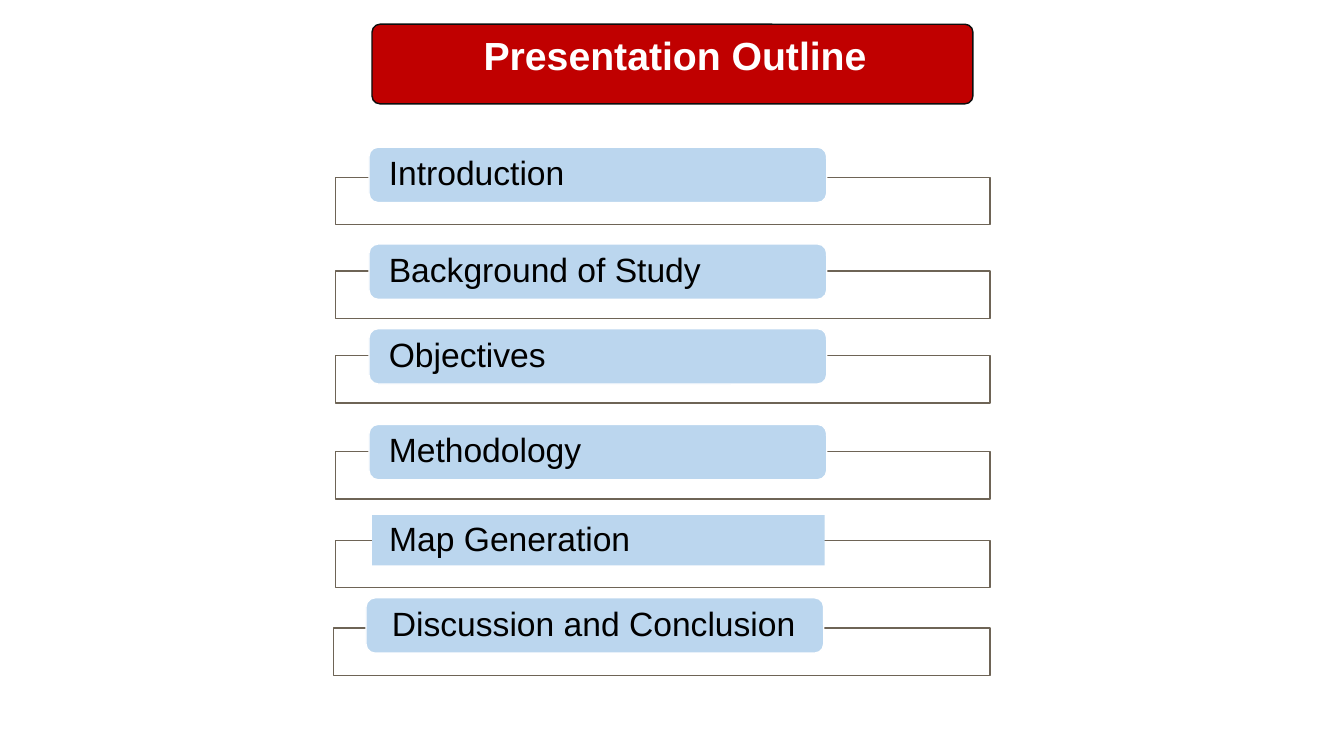
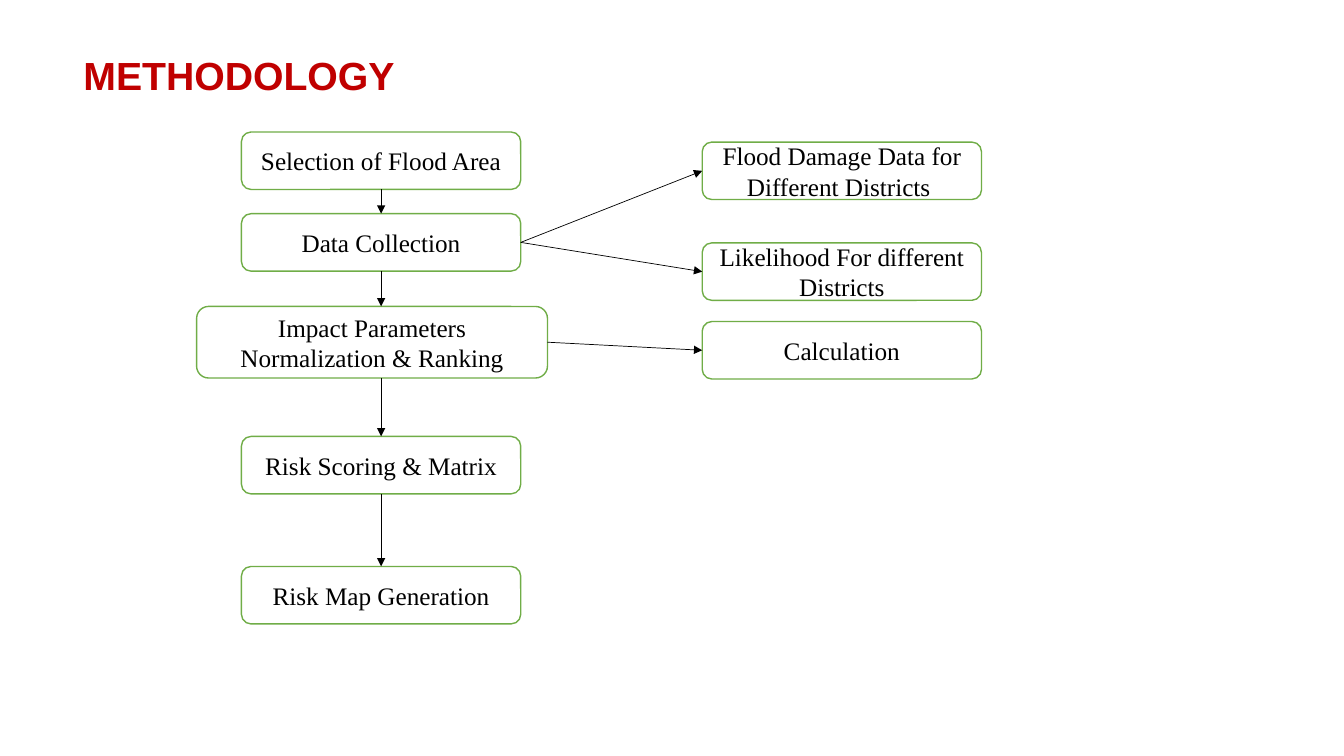
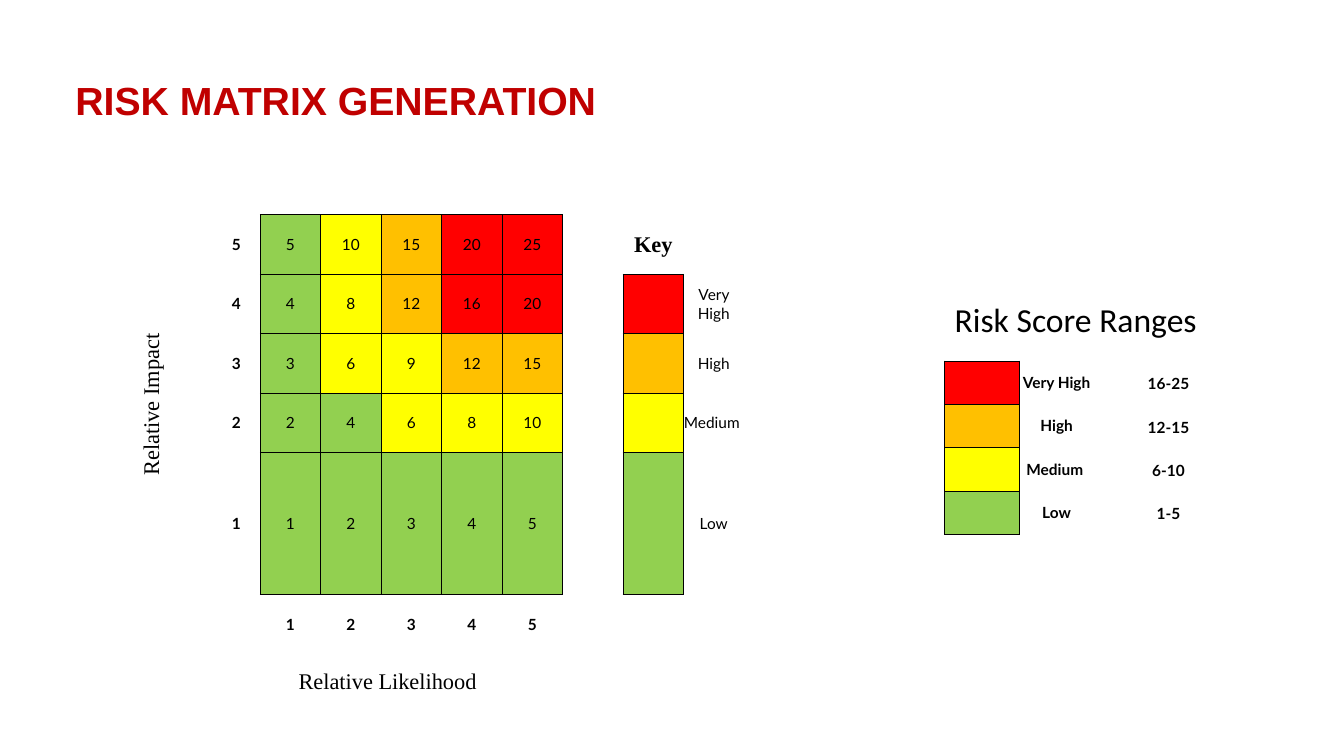
import lxml.etree
import pptx
import pptx.dml.color
import pptx.enum.shapes
import pptx.enum.text
import pptx.oxml.ns
import pptx.util

Inches = pptx.util.Inches
Pt = pptx.util.Pt
SHAPE = pptx.enum.shapes.MSO_SHAPE
ANCHOR = pptx.enum.text.MSO_ANCHOR
ALIGN = pptx.enum.text.PP_ALIGN
qn = pptx.oxml.ns.qn

COLORS = {
    "white": "FFFFFF",
    "black": "000000",
    "red": "C00000",
    "banner line": "0D0D0D",
    "frame line": "6E6456",
    "tab": "BBD6EE",
    "step line": "70AD47",
    "Very High": "FF0000",
    "High": "FFC000",
    "Medium": "FFFF00",
    "Low": "92D050",
}
SANS, SERIF, GRID_FONT = "Arial", "Times New Roman", "Lato"
PLAIN_TABLE = "{2D5ABB26-0587-4C30-8999-92F81FD0307C}"
TOP, LEFT, BOTTOM, RIGHT = range(4)

# Risk level, lowest score, range shown
LEVELS = [("Very High", 16, "16-25"), ("High", 12, "12-15"),
          ("Medium", 6, "6-10"), ("Low", 1, "1-5")]


# Shared helpers
def color(name):
    return pptx.dml.color.RGBColor.from_string(COLORS[name])


def write(frame, text, size, font, ink="black", bold=False, align=ALIGN.LEFT):
    para = frame.paragraphs[0]
    para.text = text
    para.alignment = align
    para.font.size = Pt(size)
    para.font.name = font
    para.font.bold = bold
    para.font.color.rgb = color(ink)
    return para


def add_box(page, kind, place, fill, line=None, rounding=None):
    box = page.shapes.add_shape(kind, *map(Inches, place))
    box.shadow.inherit = False
    box.fill.solid()
    box.fill.fore_color.rgb = color(fill)
    if line:
        box.line.color.rgb = color(line)
        box.line.width = Pt(1)
    else:
        box.line.fill.background()
    if rounding is not None:
        box.adjustments[0] = rounding
    return box


def add_label(page, place, text, size, font, ink="black", bold=False):
    box = page.shapes.add_textbox(*map(Inches, place))
    box.text_frame.word_wrap = True
    write(box.text_frame, text, size, font, ink, bold)


def add_title(page, place, text):
    add_label(page, place, text, 28, SANS, "red", True)


# Outline slide
def add_banner(page, place, text):
    banner = add_box(page, SHAPE.ROUNDED_RECTANGLE, place, "red", "banner line", 0.1)
    frame = banner.text_frame
    frame.vertical_anchor = ANCHOR.TOP
    frame.margin_left = Inches(0.15)
    write(frame, text, 28, SANS, "white", True, ALIGN.CENTER)


def add_outline_item(page, text, frame_place, tab_place, rounded=True, indent=0.17):
    add_box(page, SHAPE.RECTANGLE, frame_place, "white", "frame line")
    if rounded:
        tab = add_box(page, SHAPE.ROUNDED_RECTANGLE, tab_place, "tab", "white", 0.167)
    else:
        tab = add_box(page, SHAPE.RECTANGLE, tab_place, "tab")
    frame = tab.text_frame
    frame.vertical_anchor = ANCHOR.MIDDLE
    frame.margin_left, frame.margin_right = Inches(indent), Inches(0.17)
    frame.margin_top = frame.margin_bottom = 0
    write(frame, text, 24, SANS).line_spacing = 0.9


def outline_slide(page):
    add_banner(page, (3.69, 0.24, 5.96, 0.79), "Presentation Outline")
    regular = [("Introduction", 1.76, 1.46), ("Background of Study", 2.69, 2.42),
               ("Objectives", 3.53, 3.26), ("Methodology", 4.48, 4.21)]
    for text, frame_top, tab_top in regular:
        add_outline_item(page, text, (3.33, frame_top, 6.49, 0.47),
                         (3.66, tab_top, 4.54, 0.55))
    add_outline_item(page, "Map Generation", (3.33, 5.36, 6.49, 0.47),
                     (3.69, 5.11, 4.49, 0.5), rounded=False)
    add_outline_item(page, "Discussion and Conclusion", (3.31, 6.23, 6.51, 0.47),
                     (3.63, 5.93, 4.54, 0.55), indent=0.23)


# Flowchart slide
def add_step(page, text, center, top, width=2.77, height=0.57):
    place = (center - width / 2, top, width, height)
    step = add_box(page, SHAPE.ROUNDED_RECTANGLE, place, "white", "step line")
    step.text_frame.word_wrap = True
    step.text_frame.vertical_anchor = ANCHOR.MIDDLE
    write(step.text_frame, text, 18, SERIF, align=ALIGN.CENTER)
    return step


def add_arrow(page, begin, end):
    """Each end is a (step, side) pair, or an (x, y) point in inches."""
    arrow = page.shapes.add_connector(
        pptx.enum.shapes.MSO_CONNECTOR.STRAIGHT, 0, 0, 0, 0)
    if isinstance(begin[0], float):
        arrow.begin_x, arrow.begin_y = map(Inches, begin)
    else:
        arrow.begin_connect(*begin)
    if isinstance(end[0], float):
        arrow.end_x, arrow.end_y = map(Inches, end)
    else:
        arrow.end_connect(*end)
    arrow.line.color.rgb = color("black")
    arrow.line.width = Pt(0.5)
    properties = arrow._element.spPr
    line = properties.find(qn("a:ln"))
    lxml.etree.SubElement(line, qn("a:tailEnd"), type="triangle")
    lxml.etree.SubElement(properties, qn("a:effectLst"))


def methodology_slide(page):
    add_title(page, (0.73, 0.46, 3.54, 0.57), "METHODOLOGY")
    main, side = 3.78, 8.35
    selection = add_step(page, "Selection of Flood Area", main, 1.31)
    collection = add_step(page, "Data Collection", main, 2.12)
    ranking = add_step(page, "Impact Parameters\vNormalization & Ranking",
                       3.69, 3.04, 3.48, 0.71)
    scoring = add_step(page, "Risk Scoring & Matrix", main, 4.33)
    mapping = add_step(page, "Risk Map Generation", main, 5.62)
    damage = add_step(page, "Flood Damage Data for Different Districts ", side, 1.41)
    likelihood = add_step(page, "Likelihood For different Districts", side, 2.41)
    calculation = add_step(page, "Calculation", side, 3.19)

    # Arrows down the main column; the ranking step is off its centre line
    add_arrow(page, (selection, BOTTOM), (collection, TOP))
    add_arrow(page, (collection, BOTTOM), (main, 3.04))
    add_arrow(page, (main, 3.75), (scoring, TOP))
    add_arrow(page, (scoring, BOTTOM), (mapping, TOP))

    # Arrows out to the side column
    for source, target in [(collection, damage), (collection, likelihood),
                           (ranking, calculation)]:
        add_arrow(page, (source, RIGHT), (target, LEFT))


# Risk matrix slide
def level_of(score):
    return next(name for name, lowest, _ in LEVELS if score >= lowest)


def set_borders(cell, drawn):
    """drawn maps each side, in the order L R T B, to whether it has a line."""
    properties = cell._tc.get_or_add_tcPr()
    for side, visible in drawn.items():
        line = lxml.etree.SubElement(properties, qn("a:ln" + side), w=str(Pt(0.5)))
        if visible:
            fill = lxml.etree.SubElement(line, qn("a:solidFill"))
            lxml.etree.SubElement(fill, qn("a:srgbClr"), val=COLORS["black"])
        else:
            lxml.etree.SubElement(line, qn("a:noFill"))


def add_grid(page, left, top, widths, heights, fills):
    """Plain table; fills maps (row, column) to a colour, with lines round each."""
    frame = page.shapes.add_table(
        len(heights), len(widths), Inches(left), Inches(top),
        Inches(sum(widths)), Inches(sum(heights)))
    table = frame.table
    table.first_row = table.horz_banding = False
    table._tbl.tblPr.find(qn("a:tableStyleId")).text = PLAIN_TABLE
    for column, width in zip(table.columns, widths):
        column.width = Inches(width)
    for row, height in zip(table.rows, heights):
        row.height = Inches(height)
    for r in range(len(heights)):
        for c in range(len(widths)):
            cell = table.cell(r, c)
            cell.margin_left = cell.margin_right = 0
            cell.margin_top = cell.margin_bottom = 0
            neighbours = {"L": (r, c - 1), "R": (r, c + 1),
                          "T": (r - 1, c), "B": (r + 1, c)}
            set_borders(cell, {side: (r, c) in fills or spot in fills
                               for side, spot in neighbours.items()})
            if (r, c) in fills:
                cell.fill.solid()
                cell.fill.fore_color.rgb = color(fills[r, c])
            else:
                cell.fill.background()
    return table


def fill_cell(cell, text, size=11, font=GRID_FONT, bold=False, anchor=ANCHOR.MIDDLE):
    cell.vertical_anchor = anchor
    write(cell.text_frame, str(text), size, font, bold=bold, align=ALIGN.CENTER)


def level_label(name):
    return "Medium " if name == "Medium" else name


def add_matrix(page, left, top):
    scores = {(5 - impact, 1 + chance): impact * chance
              for impact in range(1, 6) for chance in range(1, 6)}
    fills = {spot: level_of(score) for spot, score in scores.items()}
    fills.update({(row, 8): level[0] for row, level in enumerate(LEVELS, 1)})
    table = add_grid(page, left, top, [0.73, 0.47] + [0.6] * 8,
                     [0.59] * 4 + [0.64, 0.59, 0.4], fills)

    # Scores and scales
    for spot, score in scores.items():
        fill_cell(table.cell(*spot), score)
    for number in range(1, 6):
        fill_cell(table.cell(5 - number, 1), number, bold=True)
        fill_cell(table.cell(5, 1 + number), number, bold=True)

    # Key
    fill_cell(table.cell(0, 8), "Key", 16, SERIF, True)
    for row, (name, _, _) in enumerate(LEVELS, 1):
        fill_cell(table.cell(row, 9), level_label(name))

    # Axis names
    impact_axis, chance_axis = table.cell(0, 0), table.cell(6, 1)
    impact_axis.merge(table.cell(4, 0))
    chance_axis.merge(table.cell(6, 6))
    fill_cell(impact_axis, "Relative Impact", 16, SERIF)
    impact_axis._tc.get_or_add_tcPr().set("vert", "vert270")
    fill_cell(chance_axis, "Relative Likelihood", 16, SERIF, anchor=ANCHOR.BOTTOM)


def add_score_ranges(page, left, top):
    add_label(page, (left, top, 2.99, 0.5), "Risk Score Ranges", 24, "Calibri")
    fills = {(row, 0): level[0] for row, level in enumerate(LEVELS)}
    names = add_grid(page, left, top + 0.66, [0.74] * 2, [0.43] * 4, fills)
    ranges = add_grid(page, left + 1.85, top + 0.12, [0.74], [0.43] * 5, {})
    for row, (name, _, span) in enumerate(LEVELS):
        fill_cell(names.cell(row, 1), level_label(name), bold=True)
        fill_cell(ranges.cell(row + 1, 0), span, bold=True, anchor=ANCHOR.BOTTOM)


def matrix_slide(page):
    add_title(page, (0.65, 0.71, 7.06, 0.57), "RISK MATRIX GENERATION")
    add_matrix(page, 1.38, 2.13)
    add_score_ranges(page, 9.37, 2.92)


def main():
    deck = pptx.Presentation()
    deck.slide_width, deck.slide_height = Inches(13.33), Inches(7.5)
    for build in (outline_slide, methodology_slide, matrix_slide):
        build(deck.slides.add_slide(deck.slide_layouts[6]))
    deck.save("out.pptx")


if __name__ == "__main__":
    main()
